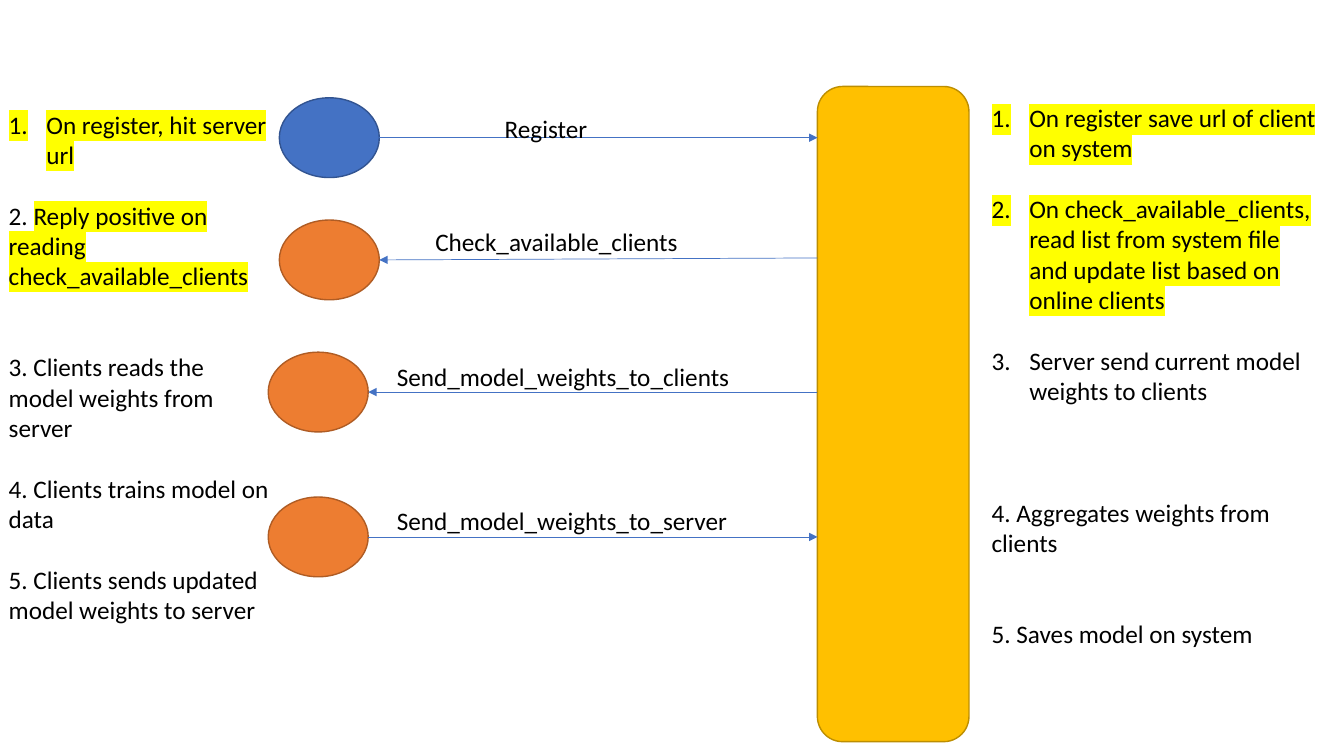
from lxml.etree import SubElement
from pptx import Presentation
from pptx.dml.color import RGBColor
from pptx.enum.shapes import MSO_CONNECTOR as Connector, MSO_SHAPE as Shape
from pptx.enum.text import MSO_AUTO_SIZE as AutoSize
from pptx.oxml import parse_xml
from pptx.oxml.ns import nsdecls, qn
from pptx.util import Cm, Pt

COLORS = {
    "blue": "4472C4", "blue_edge": "325491",
    "orange": "ED7D31", "orange_edge": "AF5C24",
    "gold": "FFC000", "gold_edge": "BD8E00",
    "text": "000000", "marker": "FFFF00",
}
FONT, TEXT_SIZE, LINE_PITCH = "Calibri", 18, 21.8
INDENT = Cm(0.95)

SERVER = (20.6, 2.18, 3.82, 16.51)
CLIENT_WIDTH, CLIENT_HEIGHT = 2.52, 2.01

MESSAGES = [
    {"label": "Register", "label_box": (12.47, 2.72, 4.65), "client": (7.04, 3.47),
     "color": "blue", "server_y": 3.47, "to_server": True},
    {"label": "Check_available_clients", "label_box": (10.72, 5.59, 6.68), "client": (7.04, 6.55),
     "color": "orange", "server_y": 6.5, "to_server": False},
    {"label": "Send_model_weights_to_clients", "label_box": (9.75, 8.97, 9.58), "client": (6.76, 9.88),
     "color": "orange", "server_y": 9.88, "to_server": False},
    {"label": "Send_model_weights_to_server", "label_box": (9.75, 12.62, 9.58), "client": (6.76, 13.53),
     "color": "orange", "server_y": 13.53, "to_server": True},
]
LABEL_HEIGHT = 1.03

# numbered, lines skipped above, runs of (text, marked)
CLIENT_STEPS = [
    (True, 0, [("On register, hit server url", True)]),
    (False, 1, [("2. ", False), ("Reply positive on reading check_available_clients", True)]),
    (False, 2, [("3. Clients reads the model weights from server", False)]),
    (False, 1, [("4. Clients trains model on data", False)]),
    (False, 1, [("5. Clients sends updated model weights to server", False)]),
]
SERVER_STEPS = [
    (True, 0, [("On register save url of client on system", True)]),
    (True, 1, [("On check_available_clients, read list from system file "
                "and update list based on online clients", True)]),
    (True, 1, [("Server send current model weights to clients", False)]),
    (False, 3, [("4. Aggregates weights from clients", False)]),
    (False, 2, [("5. Saves model on system", False)]),
]
STEP_LISTS = [
    ((-0.03, 2.62, 7.08, 13.34), CLIENT_STEPS),
    ((24.74, 2.46, 8.79, 14.1), SERVER_STEPS),
]


def rgb(name):
    return RGBColor.from_string(COLORS[name])


def add_node(slide, kind, box, color):
    node = slide.shapes.add_shape(kind, *map(Cm, box))
    node.shadow.inherit = False
    node.fill.solid()
    node.fill.fore_color.rgb = rgb(color)
    node.line.color.rgb = rgb(color + "_edge")
    node.line.width = Pt(1)


def add_arrow(slide, start, end):
    arrow = slide.shapes.add_connector(Connector.STRAIGHT, *map(Cm, start + end))
    arrow.line.color.rgb = rgb("blue")
    arrow.line.width = Pt(0.5)
    SubElement(arrow.line._get_or_add_ln(), qn("a:tailEnd"), type="triangle")
    SubElement(arrow._element.spPr, qn("a:effectLst"))


def add_text(slide, box, steps):
    frame = slide.shapes.add_textbox(*map(Cm, box)).text_frame
    frame.word_wrap = True
    frame.auto_size = AutoSize.SHAPE_TO_FIT_TEXT
    for index, (numbered, skipped, runs) in enumerate(steps):
        paragraph = frame.add_paragraph() if index else frame.paragraphs[0]
        paragraph.space_before = Pt(skipped * LINE_PITCH)
        if numbered:
            properties = paragraph._p.get_or_add_pPr()
            properties.set("marL", str(INDENT))
            properties.set("indent", str(-INDENT))
            SubElement(properties, qn("a:buFont"), typeface="+mj-lt")
            SubElement(properties, qn("a:buAutoNum"), type="arabicPeriod")
        for words, marked in runs:
            run = paragraph.add_run()
            run.text = words
            run.font.name = FONT
            run.font.size = Pt(TEXT_SIZE)
            run.font.color.rgb = rgb("text")
            if marked:
                run._r.rPr.find(qn("a:solidFill")).addnext(parse_xml(
                    f'<a:highlight {nsdecls("a")}><a:srgbClr val="{COLORS["marker"]}"/></a:highlight>'))


def main():
    deck = Presentation()
    deck.slide_width, deck.slide_height = Cm(33.87), Cm(19.05)
    slide = deck.slides.add_slide(deck.slide_layouts[6])

    add_node(slide, Shape.ROUNDED_RECTANGLE, SERVER, "gold")
    for message in MESSAGES:
        left, middle = message["client"]
        add_node(slide, Shape.OVAL,
                 (left, middle - CLIENT_HEIGHT / 2, CLIENT_WIDTH, CLIENT_HEIGHT), message["color"])
        client_end = (left + CLIENT_WIDTH, middle)
        server_end = (SERVER[0], message["server_y"])
        ends = (client_end, server_end) if message["to_server"] else (server_end, client_end)
        add_arrow(slide, *ends)
        add_text(slide, message["label_box"] + (LABEL_HEIGHT,),
                 [(False, 0, [(message["label"], False)])])
    for box, steps in STEP_LISTS:
        add_text(slide, box, steps)

    deck.save("out.pptx")


if __name__ == "__main__":
    main()
